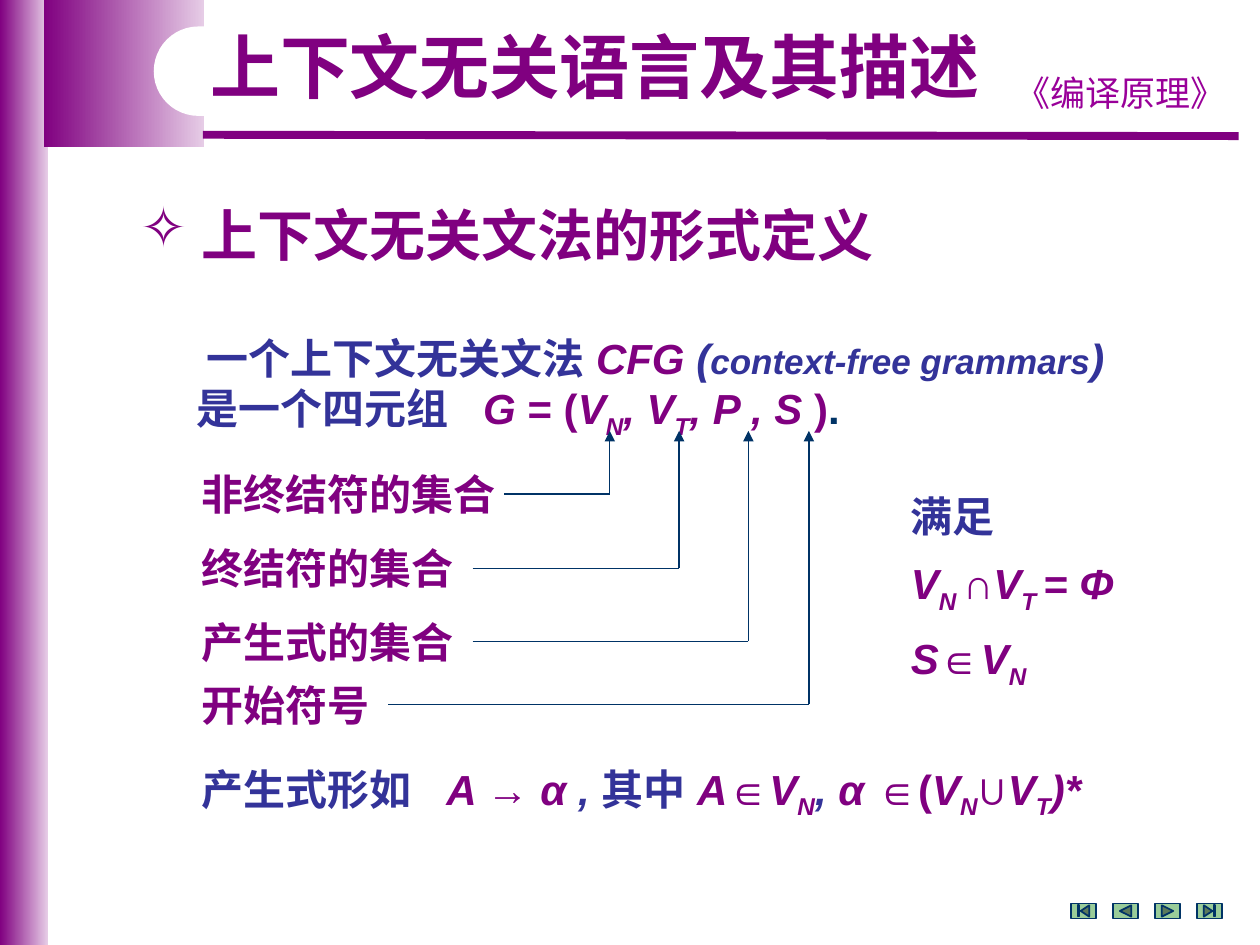
from typing import NamedTuple, Optional

from pptx import Presentation
from pptx import util as u
from pptx.dml.color import RGBColor
from pptx.enum import shapes, text
from pptx.oxml.ns import qn
from lxml import etree

PURPLE, BLUE, NAVY = "800080", "333399", "003366"
SANS, CJK = "Arial", "Noto Sans CJK SC"
ARROW_TIP = 3.42
LABEL_LEFT = 1.5


class Run(NamedTuple):
    text: str
    color: str = PURPLE
    italic: bool = False
    subscript: bool = False
    size: float = 24
    font: str = SANS
    bold: bool = True
    tracking: float = 0


class Line(NamedTuple):
    runs: list[Run]
    align: Optional[text.PP_ALIGN] = None
    left: float = 0
    indent: float = 0
    bullet: Optional[str] = None
    before: float = 0
    spacing: Optional[float] = None


class Component(NamedTuple):
    label: str
    top: float
    width: float
    line_start: float
    arrow_x: float


WIDE_GAP = Run(" ", BLUE, tracking=13.3)
COMPONENTS = [
    Component("非终结符的集合", 3.67, 2.58, 4, 4.84),
    Component("终结符的集合", 4.26, 2.25, 3.75, 5.39),
    Component("产生式的集合", 4.84, 2.25, 3.75, 5.94),
    Component("开始符号", 5.34, 1.58, 3.08, 6.42),
]


def rgb(value: str) -> RGBColor:
    return RGBColor.from_string(value)


def var(name: str, color: str = PURPLE) -> Run:
    return Run(name, color, italic=True)


def sub(name: str) -> Run:
    return Run(name, italic=True, subscript=True)


def add_run(paragraph, run: Run) -> None:
    item = paragraph.add_run()
    item.text = run.text
    font = item.font
    font.name, font.size = run.font, u.Pt(run.size)
    font.bold, font.italic = run.bold, run.italic
    font.color.rgb = rgb(run.color)
    properties = font._element
    etree.SubElement(properties, qn("a:ea")).set("typeface", run.font)
    if run.subscript:
        properties.set("baseline", "-25000")
    if run.tracking:
        properties.set("spc", str(round(run.tracking * 100)))


def format_line(paragraph, line: Line) -> None:
    paragraph.alignment = line.align
    paragraph.space_before = u.Pt(line.before)
    paragraph.line_spacing = line.spacing
    properties = paragraph._p.get_or_add_pPr()
    properties.set("marL", str(u.Inches(line.left)))
    properties.set("indent", str(u.Inches(line.indent)))
    if line.bullet:
        color = etree.SubElement(properties, qn("a:buClr"))
        etree.SubElement(color, qn("a:srgbClr")).set("val", PURPLE)
        etree.SubElement(properties, qn("a:buChar")).set("char", line.bullet)


def add_text(slide, left: float, top: float, width: float, height: float,
             lines: list[Line]) -> None:
    box = slide.shapes.add_textbox(*map(u.Inches, (left, top, width, height)))
    frame = box.text_frame
    frame.word_wrap = True
    for index, line in enumerate(lines):
        paragraph = frame.add_paragraph() if index else frame.paragraphs[0]
        format_line(paragraph, line)
        for run in line.runs:
            add_run(paragraph, run)


def add_shape(slide, kind, left: float, top: float, width: float, height: float):
    shape = slide.shapes.add_shape(kind, *map(u.Inches, (left, top, width, height)))
    shape.shadow.inherit = False
    shape.line.fill.background()
    return shape


def add_gradient_bar(slide, left: float, width: float, height: float) -> None:
    fill = add_shape(slide, shapes.MSO_SHAPE.RECTANGLE, left, 0, width, height).fill
    fill.gradient()
    fill.gradient_angle = 0
    for stop, color in zip(fill.gradient_stops, (PURPLE, "E6CCE6")):
        stop.color.rgb = rgb(color)


def add_line(slide, start: tuple[float, float], end: tuple[float, float],
             color: str, width: float, arrow: bool = False) -> None:
    line = slide.shapes.add_connector(
        shapes.MSO_CONNECTOR.STRAIGHT, *map(u.Inches, (*start, *end)))
    line.line.color.rgb = rgb(color)
    line.line.width = u.Pt(width)
    if arrow:
        etree.SubElement(line.line._get_or_add_ln(), qn("a:tailEnd"), type="triangle")
    etree.SubElement(line._element.spPr, qn("a:effectLst"))


def add_component(slide, component: Component) -> None:
    """Label one part of the tuple and point at its symbol."""
    add_text(slide, LABEL_LEFT, component.top, component.width, 0.5,
             [Line([Run(component.label)])])
    middle = component.top + 0.25
    corner = (component.arrow_x, middle)
    add_line(slide, (component.line_start, middle), corner, NAVY, 0.75)
    add_line(slide, corner, (component.arrow_x, ARROW_TIP), NAVY, 0.75, arrow=True)


def add_frame(slide) -> None:
    add_gradient_bar(slide, 0, 0.38, 7.5)
    add_gradient_bar(slide, 0.35, 1.27, 1.17)
    add_line(slide, (1.61, 1.07), (9.83, 1.08), PURPLE, 4.5)
    add_text(slide, 7.91, 0.52, 1.97, 0.44, [Line(
        [Run("《编译原理》", "990099", size=20, font="Comic Neue", bold=False)],
        align=text.PP_ALIGN.CENTER)])
    notch = add_shape(slide, shapes.MSO_SHAPE.ROUNDED_RECTANGLE, 1.22, 0.21, 3.62, 0.71)
    notch.adjustments[0] = 0.5
    notch.fill.solid()
    notch.fill.fore_color.rgb = rgb("FFFFFF")


def add_navigation(slide) -> None:
    kinds = shapes.MSO_SHAPE
    buttons = (kinds.ACTION_BUTTON_BEGINNING, kinds.ACTION_BUTTON_BACK_OR_PREVIOUS,
               kinds.ACTION_BUTTON_FORWARD_OR_NEXT, kinds.ACTION_BUTTON_END)
    for index, kind in enumerate(buttons):
        button = add_shape(slide, kind, 8.5 + index / 3, 7.17, 0.2, 0.12)
        button.fill.solid()
        button.fill.fore_color.rgb = rgb("99CC99")
        button.line.color.rgb = rgb(NAVY)
        button.line.width = u.Pt(1)


def main() -> None:
    presentation = Presentation()
    presentation.slide_width, presentation.slide_height = u.Inches(10), u.Inches(7.5)
    slide = presentation.slides.add_slide(presentation.slide_layouts[6])
    add_frame(slide)
    add_navigation(slide)
    add_text(slide, 1.53, 0.21, 6.38, 0.7, [Line(
        [Run("上下文无关语言及其描述", size=40, font=CJK)],
        align=text.PP_ALIGN.CENTER, spacing=0.9)])
    add_text(slide, 1.02, 1.54, 7.36, 0.64, [Line(
        [Run("上下文无关文法的形式定义", size=32, font=CJK)],
        left=0.48, indent=-0.48, bullet="✧")])
    add_text(slide, 1.08, 2.59, 8.5, 1.36, [
        Line([Run("一个上下文无关文法 ", BLUE), var("CFG "), var("(", BLUE),
              Run("context-free grammars", BLUE, italic=True, size=20),
              var(")", BLUE)], indent=0.46),
        Line([Run("是一个四元组", BLUE), WIDE_GAP, var("G"), Run(" = ("), var("V"),
              sub("N"), var(", V"), sub("T"), var(", P , S "), Run(")"),
              Run(".", NAVY)], indent=0.38)])
    for component in COMPONENTS:
        add_component(slide, component)
    add_text(slide, 7.13, 3.84, 1.92, 1.68, [
        Line([Run("满足", BLUE)]),
        Line([var("V"), sub("N "), Run("∩"), var("V"), sub("T "), var("= Φ")], before=10),
        Line([var("S"), Run("∈"), var("V"), sub("N")], before=10)])
    add_text(slide, LABEL_LEFT, 6.01, 7.83, 0.56, [Line(
        [Run("产生式形如", BLUE), WIDE_GAP, var("A "), Run("→ "), var("α "),
         var(", ", BLUE), Run("其中 ", BLUE), var("A"), Run("∈"), var("V"), sub("N"),
         var(", ", BLUE), var("α "), Run("∈("), var("V"), sub("N"), Run("∪"),
         var("V"), sub("T"), var(")*")])])
    presentation.save("out.pptx")


if __name__ == "__main__":
    main()
